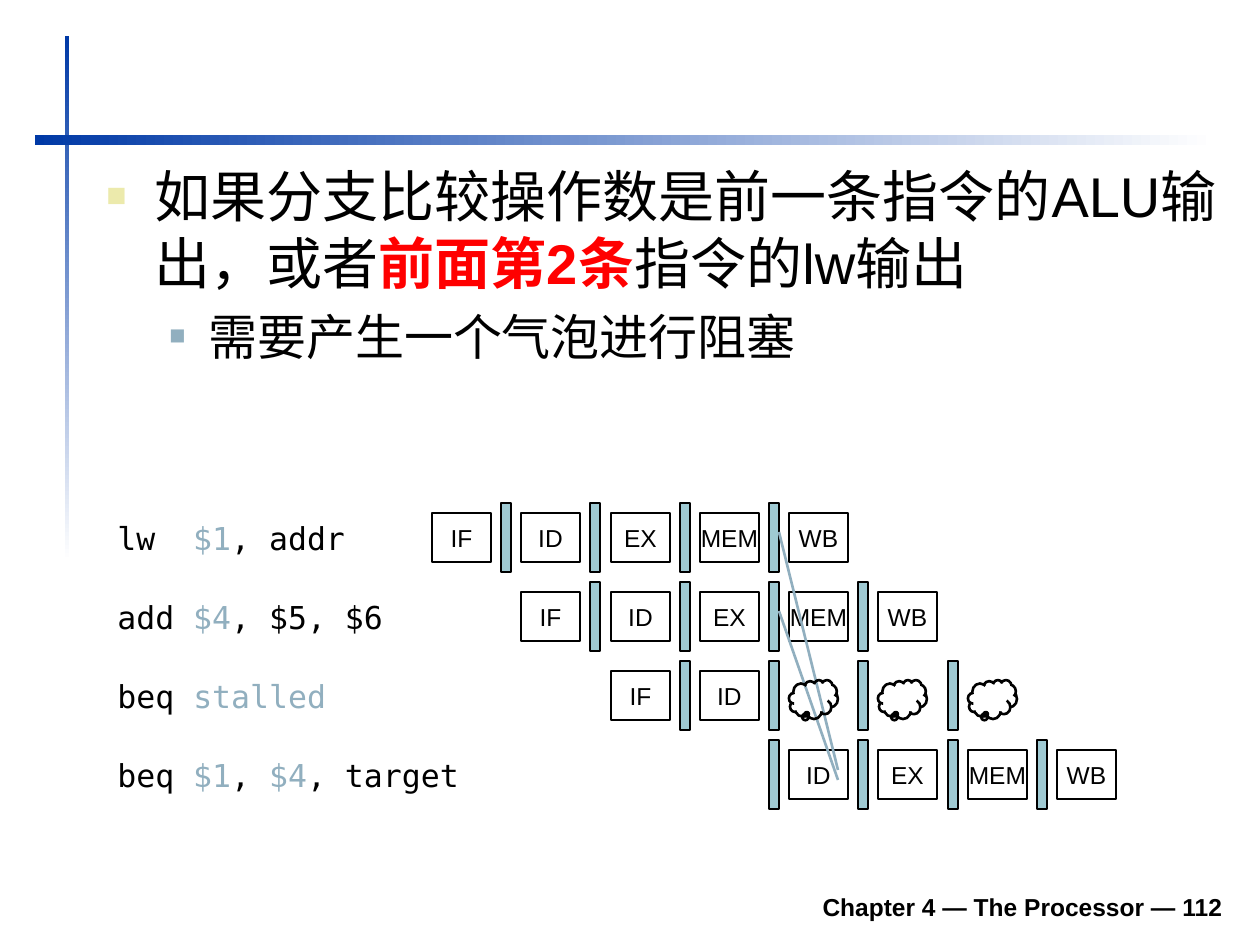
from lxml.etree import SubElement
from pptx import Presentation
from pptx.dml.color import RGBColor
from pptx.enum.shapes import MSO_CONNECTOR as Connector, MSO_SHAPE as Shape
from pptx.enum.text import MSO_ANCHOR as Anchor, PP_ALIGN as Align
from pptx.oxml.ns import qn
from pptx.util import Emu, Pt

PX = 914400 / 126
BLACK, RED, NAVY, WHITE = "000000", "FF0000", "0039A6", "FFFFFF"
STEEL, TEAL, CREAM = "91AFBF", "9FCAD3", "ECEAAC"
SANS, MONO = "Arial", "DejaVu Sans Mono"

# Pipeline grid: one column per clock cycle, one row per instruction
COLUMN_PITCH, ROW_PITCH = 89.3, 79
STAGE_LEFT, STAGE_TOP = 432, 513
REGISTER_LEFT, REGISTER_TOP = 501, 503
BUBBLE_LEFT, BUBBLE_TOP = 432, 522

# Code runs, first cycle, stages, first register, number of registers
ROWS = [
    ([("lw  ", BLACK), ("$1", STEEL), (", addr", BLACK)],
     0, ["IF", "ID", "EX", "MEM", "WB"], 0, 4),
    ([("add ", BLACK), ("$4", STEEL), (", $5, $6", BLACK)],
     1, ["IF", "ID", "EX", "MEM", "WB"], 1, 4),
    ([("beq ", BLACK), ("stalled", STEEL)],
     2, ["IF", "ID"], 2, 4),
    ([("beq ", BLACK), ("$1", STEEL), (", ", BLACK), ("$4", STEEL), (", target", BLACK)],
     4, ["ID", "EX", "MEM", "WB"], 3, 4),
]
STALLED_ROW, BUBBLE_CYCLES = 2, (4, 5, 6)
FORWARDS = [(779, 532, 838, 770), (779, 611, 838, 780)]


def px(*lengths):
    return [Emu(round(length * PX)) for length in lengths]


def color(hex_code):
    return RGBColor.from_string(hex_code)


def cell(left, top, cycle, row):
    return round(left + cycle * COLUMN_PITCH), top + row * ROW_PITCH


def add_run(paragraph, text, hue, **formats):
    run = paragraph.add_run()
    run.text = text
    run.font.color.rgb = color(hue)
    for name, value in formats.items():
        setattr(run.font, name, value)


def add_text_box(slide, box, **formats):
    frame = slide.shapes.add_textbox(*px(*box)).text_frame
    for name, value in formats.items():
        setattr(frame, name, value)
    return frame


def add_outlined(slide, kind, box, width, fill=None):
    shape = slide.shapes.add_shape(kind, *px(*box))
    shape.shadow.inherit = False
    shape.line.color.rgb = color(BLACK)
    shape.line.width = Pt(width)
    if fill:
        shape.fill.solid()
        shape.fill.fore_color.rgb = color(fill)
    else:
        shape.fill.background()
    return shape


def add_gradient_bar(slide, box, angle):
    bar = slide.shapes.add_shape(Shape.RECTANGLE, *px(*box))
    bar.shadow.inherit = False
    bar.line.fill.background()
    bar.fill.gradient()
    bar.fill.gradient_angle = angle
    for stop, hue in zip(bar.fill.gradient_stops, (NAVY, WHITE)):
        stop.color.rgb = color(hue)


def add_bullet(paragraph, hue, percent, margin, hanging):
    props = paragraph._p.get_or_add_pPr()
    props.set("marL", str(px(margin)[0]))
    props.set("indent", str(px(-hanging)[0]))
    SubElement(SubElement(props, qn("a:buClr")), qn("a:srgbClr"), val=hue)
    SubElement(props, qn("a:buSzPct"), val=str(percent * 1000))
    SubElement(props, qn("a:buFont"), typeface=SANS)
    SubElement(props, qn("a:buChar"), char="■")


def add_stage(slide, name, cycle, row):
    box = (*cell(STAGE_LEFT, STAGE_TOP, cycle, row), 59, 49)
    frame = add_outlined(slide, Shape.RECTANGLE, box, 1.5).text_frame
    frame.word_wrap = False
    frame.vertical_anchor = Anchor.MIDDLE
    paragraph = frame.paragraphs[0]
    paragraph.alignment = Align.CENTER
    add_run(paragraph, name, BLACK, name=SANS, size=Pt(14))


def add_register(slide, cycle, row):
    box = (*cell(REGISTER_LEFT, REGISTER_TOP, cycle, row), 10, 69)
    add_outlined(slide, Shape.RECTANGLE, box, 0.75, TEAL)


def add_bubble(slide, cycle, row):
    box = (*cell(BUBBLE_LEFT, BUBBLE_TOP, cycle, row), 49, 39)
    cloud = add_outlined(slide, Shape.CLOUD_CALLOUT, box, 1.5)
    cloud.adjustments[0], cloud.adjustments[1] = -0.13, 0.36


def add_instruction(slide, runs, row):
    length = sum(len(text) for text, _ in runs)
    box = (105, STAGE_TOP + row * ROW_PITCH, 25 + 19 * length, 50)
    frame = add_text_box(slide, box, word_wrap=False)
    for text, hue in runs:
        add_run(frame.paragraphs[0], text, hue, name=MONO, size=Pt(18))


def add_forward(slide, ends):
    line = slide.shapes.add_connector(Connector.STRAIGHT, *px(*ends))
    line.line.color.rgb = color(STEEL)
    line.line.width = Pt(1.5)
    SubElement(line._element.spPr, qn("a:effectLst"))


def add_body(slide):
    frame = add_text_box(slide, (94, 155, 1140, 328), word_wrap=True)
    rule = frame.paragraphs[0]
    add_bullet(rule, CREAM, 60, 48, 48)
    for text, hue, bold in [
        ("如果分支比较操作数是前一条指令的ALU输出，或者", BLACK, False),
        ("前面第2条", RED, True),
        ("指令的lw输出", BLACK, False),
    ]:
        add_run(rule, text, hue, name=SANS, size=Pt(32), bold=bold)
    effect = frame.add_paragraph()
    effect.level = 1
    effect.space_before = Pt(6)
    add_bullet(effect, STEEL, 55, 102, 39)
    add_run(effect, "需要产生一个气泡进行阻塞", BLACK, name=SANS, size=Pt(28))


def add_footer(slide):
    frame = add_text_box(slide, (233, 879, 1002, 49),
                         word_wrap=True, vertical_anchor=Anchor.BOTTOM)
    frame.paragraphs[0].alignment = Align.RIGHT
    add_run(frame.paragraphs[0], "Chapter 4 — The Processor — 112", BLACK,
            name=SANS, size=Pt(14), bold=True)


def main():
    deck = Presentation()
    deck.slide_width, deck.slide_height = px(1260, 945)
    slide = deck.slides.add_slide(deck.slide_layouts[6])

    # Frame and text
    add_gradient_bar(slide, (65, 36, 4, 525), 270)
    add_gradient_bar(slide, (35, 135, 1180, 10), 0)
    add_footer(slide)
    add_body(slide)

    # Pipeline
    for row, (code, first, stages, first_register, registers) in enumerate(ROWS):
        add_instruction(slide, code, row)
        for cycle, name in enumerate(stages, first):
            add_stage(slide, name, cycle, row)
        for cycle in range(first_register, first_register + registers):
            add_register(slide, cycle, row)

    # Forwarding paths and stall bubbles
    for ends in FORWARDS:
        add_forward(slide, ends)
    for cycle in BUBBLE_CYCLES:
        add_bubble(slide, cycle, STALLED_ROW)

    deck.save("out.pptx")


if __name__ == "__main__":
    main()
